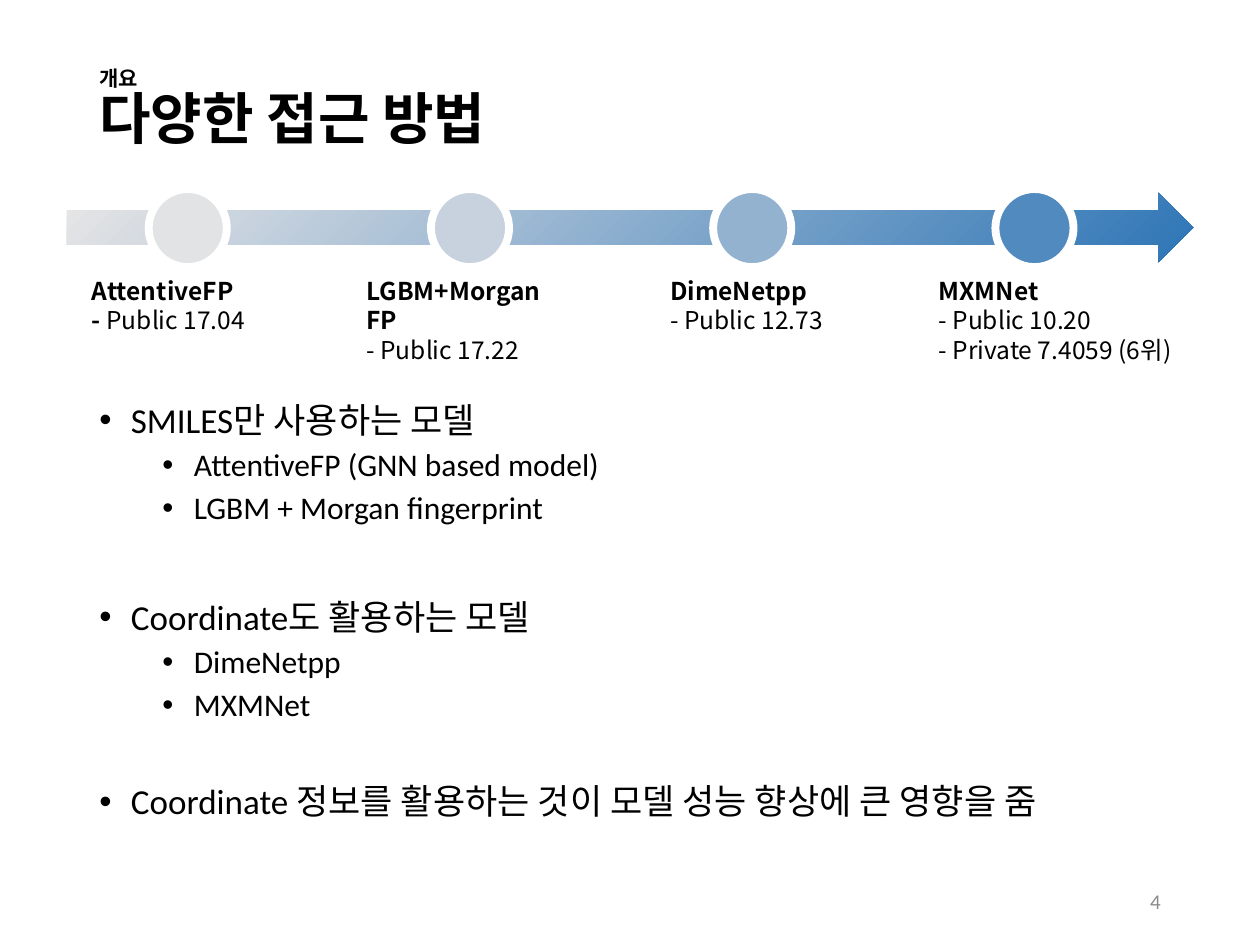
from lxml.etree import SubElement
from pptx import Presentation
from pptx.dml.color import RGBColor
from pptx.enum.shapes import MSO_SHAPE as Shape
from pptx.enum.text import MSO_ANCHOR as Anchor, PP_ALIGN as Align
from pptx.oxml import parse_xml
from pptx.oxml.ns import nsdecls, qn
from pptx.util import Inches, Pt

BLACK = RGBColor(0x00, 0x00, 0x00)
WHITE = RGBColor(0xFF, 0xFF, 0xFF)
GREY = RGBColor(0x8C, 0x8C, 0x8C)
ARROW_BLUE = RGBColor(0x2E, 0x75, 0xB6)
ARROW_GREY = RGBColor(0xE7, 0xE6, 0xE6)
LATIN, KOREAN = "Calibri", "Noto Sans CJK KR"

MARGIN, CONTENT_WIDTH = 0.69, 8.62
FIRST_CENTRE, CENTRE_STEP = 1.49, 2.24
CIRCLE_TOP, CIRCLE_SIZE = 1.5, 0.62
LABEL_TOP = 2.14

# circle colour, label left, label width, name, scores as (dash, value, bold dash)
MILESTONES = [
    (RGBColor(0xE2, 0xE3, 0xE5), 0.63, 1.72, "AttentiveFP",
     [("- ", "Public 17.04", True)]),
    (RGBColor(0xC7, 0xD2, 0xDE), 2.81, 1.85, "LGBM+Morgan FP",
     [("- ", "Public 17.22", False)]),
    (RGBColor(0x92, 0xB2, 0xD0), 5.22, 1.8, "DimeNetpp",
     [("- ", "Public 12.73", False)]),
    (RGBColor(0x51, 0x8A, 0xBF), 7.35, 2.31, "MXMNet",
     [("- ", "Public 10.20", False), ("- ", "Private 7.4059 (6위)", False)]),
]

# level, space before in points, text
BULLETS = [
    (0, 10, "SMILES만 사용하는 모델"),
    (1, 5, "AttentiveFP (GNN based model)"),
    (1, 5, "LGBM + Morgan fingerprint"),
    (0, 42, "Coordinate도 활용하는 모델"),
    (1, 5, "DimeNetpp"),
    (1, 5, "MXMNet"),
    (0, 35, "Coordinate 정보를 활용하는 것이 모델 성능 향상에 큰 영향을 줌"),
]


def add_text_frame(slide, left, top, width, height, anchor=Anchor.TOP):
    box = slide.shapes.add_textbox(*map(Inches, (left, top, width, height)))
    box.text_frame.word_wrap = True
    box.text_frame.vertical_anchor = anchor
    return box.text_frame


def next_paragraph(frame):
    """Return the first paragraph while it is empty, otherwise a new one."""
    first = frame.paragraphs[0]
    return frame.add_paragraph() if first.runs else first


def add_run(paragraph, text, size, bold=False, color=BLACK, font=LATIN):
    run = paragraph.add_run()
    run.text = text
    run.font.size = Pt(size)
    run.font.bold = bold
    run.font.name = font
    run.font.color.rgb = color
    SubElement(run.font._element, qn("a:ea"), typeface=KOREAN)


def add_title(slide):
    frame = add_text_frame(slide, MARGIN, 0.15, CONTENT_WIDTH, 1.45, Anchor.MIDDLE)
    paragraph = frame.paragraphs[0]
    paragraph.line_spacing = 0.9
    add_run(paragraph, "개요", 12, bold=True)
    paragraph.add_line_break()
    add_run(paragraph, "다양한 접근 방법", 32, bold=True)


def add_page_number(slide):
    frame = add_text_frame(slide, 7.06, 6.95, 2.25, 0.4, Anchor.MIDDLE)
    frame.paragraphs[0].alignment = Align.RIGHT
    add_run(frame.paragraphs[0], "4", 12, color=GREY)


def add_bullets(slide):
    frame = add_text_frame(slide, MARGIN, 3.15, CONTENT_WIDTH, 3.55)
    for level, space, text in BULLETS:
        paragraph = next_paragraph(frame)
        paragraph.level = level
        paragraph.line_spacing = 0.9
        paragraph.space_before = Pt(space)
        properties = paragraph._p.get_or_add_pPr()
        properties.set("marL", str(Inches(0.25 + 0.5 * level)))
        properties.set("indent", str(Inches(-0.25)))
        SubElement(properties, qn("a:buFont"), typeface="Arial")
        SubElement(properties, qn("a:buChar"), char="•")
        add_run(paragraph, text, 20 - 2 * level)


def add_arrow(slide):
    """Draw the timeline arrow, shaded outwards from its lower right corner."""
    arrow = slide.shapes.add_shape(
        Shape.RIGHT_ARROW, *map(Inches, (0.53, 1.53, 8.94, 0.55)))
    arrow.shadow.inherit = False
    arrow.line.fill.background()
    arrow.fill.background()
    properties = arrow._element.spPr
    gradient = parse_xml(
        f'<a:gradFill {nsdecls("a")} rotWithShape="1"><a:gsLst>'
        f'<a:gs pos="0"><a:srgbClr val="{ARROW_BLUE}"/></a:gs>'
        f'<a:gs pos="100000"><a:srgbClr val="{ARROW_GREY}"/></a:gs></a:gsLst>'
        '<a:path path="circle"><a:fillToRect l="100000" t="100000"/></a:path>'
        '</a:gradFill>')
    properties.replace(properties.find(qn("a:noFill")), gradient)


def add_circle(slide, column, color):
    left = FIRST_CENTRE + column * CENTRE_STEP - CIRCLE_SIZE / 2
    circle = slide.shapes.add_shape(
        Shape.OVAL, *map(Inches, (left, CIRCLE_TOP, CIRCLE_SIZE, CIRCLE_SIZE)))
    circle.shadow.inherit = False
    circle.fill.solid()
    circle.fill.fore_color.rgb = color
    circle.line.color.rgb = WHITE
    circle.line.width = Pt(4.5)


def add_label(slide, left, width, name, scores):
    height = 0.57 if len(scores) == 1 else 1.01
    frame = add_text_frame(slide, left, LABEL_TOP, width, height)
    heading = next_paragraph(frame)
    heading.alignment = Align.JUSTIFY
    add_run(heading, name, 14, bold=True, font=KOREAN)
    for dash, value, bold_dash in scores:
        paragraph = next_paragraph(frame)
        paragraph.alignment = Align.JUSTIFY
        add_run(paragraph, dash, 14, bold=bold_dash, font=KOREAN)
        add_run(paragraph, value, 14, font=KOREAN)


def main():
    presentation = Presentation()
    presentation.slide_width, presentation.slide_height = Inches(10), Inches(7.5)
    slide = presentation.slides.add_slide(presentation.slide_layouts[6])
    add_title(slide)
    add_page_number(slide)
    add_bullets(slide)
    add_arrow(slide)
    for column, (color, left, width, name, scores) in enumerate(MILESTONES):
        add_circle(slide, column, color)
        add_label(slide, left, width, name, scores)
    presentation.save("out.pptx")


if __name__ == "__main__":
    main()
